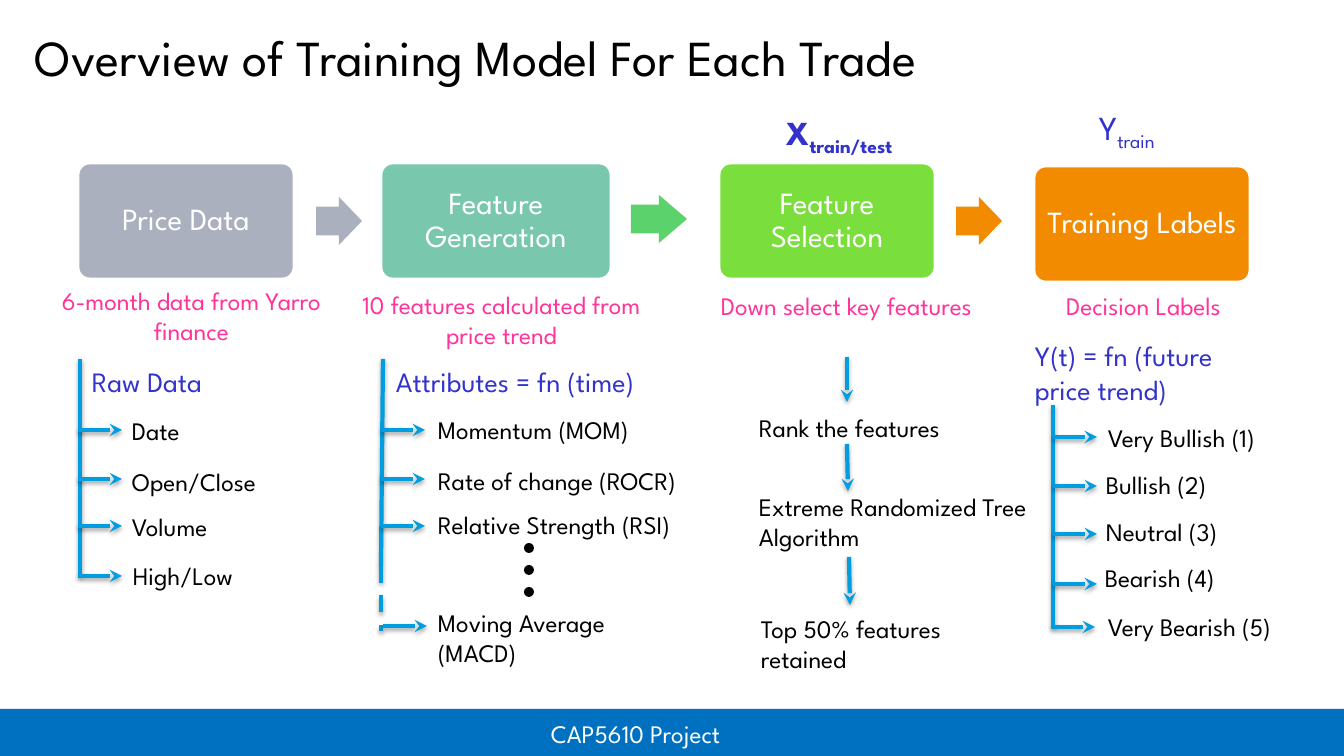
import pptx
import pptx.util
import pptx.dml.color
import pptx.enum.dml
import pptx.enum.shapes
import pptx.enum.text
import pptx.oxml
import pptx.oxml.ns

RGBColor = pptx.dml.color.RGBColor
SHAPES = pptx.enum.shapes.MSO_SHAPE
ANCHOR = pptx.enum.text.MSO_ANCHOR
ALIGN = pptx.enum.text.PP_ALIGN

EMU_PER_PIXEL = 914400 / 100.8
FONT = "League Spartan"
WHITE = RGBColor(0xFF, 0xFF, 0xFF)
BLACK = RGBColor(0, 0, 0)
FOOTER_BLUE = RGBColor(0x00, 0x70, 0xC0)
LINE_BLUE = RGBColor(0x00, 0x9E, 0xE1)
INDIGO = RGBColor(0x33, 0x33, 0xCC)
PINK = RGBColor(0xFF, 0x33, 0x99)
GRAY = RGBColor(0xAA, 0xB0, 0xBE)
TEAL = RGBColor(0x79, 0xC8, 0xAD)
GREEN = RGBColor(0x5C, 0xD2, 0x6C)
LIME = RGBColor(0x7A, 0xDE, 0x3C)
ORANGE = RGBColor(0xF3, 0x8B, 0x00)

TITLE = "Overview of Training Model For Each Trade"
FOOTER = "CAP5610 Project"

# Stage: text, left, top, width, fill
STAGES = [
    ("Price Data", 78, 163, 216, GRAY),
    ("Feature Generation", 381, 163, 230, TEAL),
    ("Feature Selection", 719, 163, 216, LIME),
    ("Training Labels", 1034, 166, 216, ORANGE),
]
STAGE_HEIGHT = 116

# Block arrow: left, top, width, fill
BLOCK_ARROWS = [(316, 197, 46, GRAY), (631, 195, 56, GREEN), (956, 197, 46, ORANGE)]
BLOCK_ARROW_HEIGHT = 48

# Caption: text, left, top
CAPTIONS = [
    ("6-month data from Yarro finance", 32, 280),
    ("10 features calculated from price trend", 342, 284),
    ("Down select key features", 687, 285),
    ("Decision Labels", 984, 285),
]
CAPTION_WIDTH = 319

# Heading: text, left, top, width
HEADINGS = [
    ("Raw Data", 82, 360, 180),
    ("Attributes = fn (time)", 386, 360, 310),
    ("Y(t) = fn (future price trend)", 1025, 334, 243),
]

# Symbol: letter, subscript, left, top, width, bold
SYMBOLS = [("X", "train/test", 776, 107, 160, True), ("Y", "train", 1089, 102, 120, False)]

# Spine: start, end, dashed
SPINES = [
    ((80, 359), (80, 576), False),
    ((383, 359), (381, 566), False),
    ((381, 566), (381, 631), True),
    ((1053, 405), (1053, 627), False),
]

# Branches: arrow left, label width, then (arrow y, label, label left, label top)
BRANCHES = [
    (78, 180, [(430, "Date", 122, 410), (479, "Open/Close", 122, 461),
               (526, "Volume", 122, 506), (576, "High/Low", 123, 555)]),
    (381, 310, [(430, "Momentum (MOM)", 428, 409), (479, "Rate of change (ROCR)", 428, 460),
                (526, "Relative Strength (RSI)", 428, 504)]),
    (383, 255, [(626, "Moving Average (MACD)", 428, 602)]),
    (1053, 225, [(437, "Very Bullish (1)", 1098, 417), (486, "Bullish (2)", 1096, 464),
                 (534, "Neutral (3)", 1096, 511), (584, "Bearish (4)", 1095, 557)]),
    (1051, 225, [(627, "Very Bearish (5)", 1098, 606)]),
]
BRANCH_LENGTH = 44

# Step: arrow start, arrow end, text, left, top, width
STEPS = [
    ((847, 357), (847, 402), "Rank the features", 749, 407, 240),
    ((847, 444), (848, 491), "Extreme Randomized Tree Algorithm", 749, 486, 295),
    ((849, 557), (850, 605), "Top 50% features retained", 751, 608, 251),
]
DOT_LEFT, DOT_TOP, DOT_SIZE, DOT_STEP = 524, 543, 10, 22


def pixels(value):
    """Convert pixels to EMU."""
    return pptx.util.Emu(round(value * EMU_PER_PIXEL))


def format_run(run, size, color, bold=False):
    """Set the font of one run."""
    run.font.name = FONT
    run.font.size = pptx.util.Pt(size)
    run.font.color.rgb = color
    run.font.bold = bold


def add_text(slide, text, left, top, width, size, color, align=ALIGN.LEFT, height=40):
    """Add a wrapped text box and return its frame."""
    box = slide.shapes.add_textbox(*map(pixels, (left, top, width, height)))
    frame = box.text_frame
    frame.word_wrap = True
    frame.text = text
    frame.paragraphs[0].alignment = align
    format_run(frame.paragraphs[0].runs[0], size, color)
    return frame


def add_filled(slide, kind, left, top, width, height, color):
    """Add a preset shape with a plain fill and no line."""
    shape = slide.shapes.add_shape(kind, *map(pixels, (left, top, width, height)))
    shape.shadow.inherit = False
    shape.fill.solid()
    shape.fill.fore_color.rgb = color
    shape.line.fill.background()
    return shape


def add_line(slide, start, end, arrow=True, dashed=False):
    """Add a blue shadowed line, with an arrowhead if asked."""
    connector = slide.shapes.add_connector(
        pptx.enum.shapes.MSO_CONNECTOR.STRAIGHT, *map(pixels, start + end))
    connector.line.color.rgb = LINE_BLUE
    connector.line.width = pptx.util.Pt(3)
    if dashed:
        connector.line.dash_style = pptx.enum.dml.MSO_LINE.DASH
    namespace = pptx.oxml.ns.nsdecls("a")
    if arrow:
        connector.line._get_or_add_ln().append(
            pptx.oxml.parse_xml(f'<a:tailEnd {namespace} type="stealth" w="med" len="med"/>'))
    connector._element.spPr.append(pptx.oxml.parse_xml(
        f'<a:effectLst {namespace}><a:outerShdw blurRad="40000" dist="23000" dir="5400000" '
        'rotWithShape="0"><a:srgbClr val="000000"><a:alpha val="35000"/></a:srgbClr>'
        '</a:outerShdw></a:effectLst>'))


def add_stage(slide, text, left, top, width, color):
    """Add one rounded stage box of the pipeline."""
    shape = add_filled(slide, SHAPES.ROUNDED_RECTANGLE, left, top, width, STAGE_HEIGHT, color)
    shape.adjustments[0] = 0.1
    shape.line.color.rgb = WHITE
    shape.line.width = pptx.util.Pt(2)
    frame = shape.text_frame
    frame.word_wrap = True
    frame.vertical_anchor = ANCHOR.MIDDLE
    frame.margin_left = frame.margin_right = pixels(9)
    frame.text = text
    paragraph = frame.paragraphs[0]
    paragraph.alignment = ALIGN.CENTER
    paragraph.line_spacing = 0.9
    format_run(paragraph.runs[0], 22, WHITE)


def add_symbol(slide, letter, subscript, left, top, width, bold):
    """Add a letter followed by a subscript."""
    paragraph = add_text(slide, letter, left, top, width, 24, INDIGO).paragraphs[0]
    paragraph.add_run().text = subscript
    for run in paragraph.runs:
        format_run(run, 24, INDIGO, bold)
    paragraph.runs[1]._r.get_or_add_rPr().set("baseline", "-25000")


presentation = pptx.Presentation()
presentation.slide_width, presentation.slide_height = pixels(1344), pixels(756)
slide = presentation.slides.add_slide(presentation.slide_layouts[6])

add_filled(slide, SHAPES.RECTANGLE, 0, 709, 1344, 47, FOOTER_BLUE)
add_text(slide, FOOTER, 541, 713, 231, 18, WHITE)
title_frame = add_text(slide, TITLE, 35, 32, 1273, 36, BLACK, height=55)
title_frame.margin_left = title_frame.margin_right = 0
title_frame.margin_top = title_frame.margin_bottom = 0
title_frame.vertical_anchor = ANCHOR.BOTTOM
title_frame.paragraphs[0].line_spacing = 0.9

for stage in STAGES:
    add_stage(slide, *stage)
for left, top, width, color in BLOCK_ARROWS:
    arrow = add_filled(slide, SHAPES.RIGHT_ARROW, left, top, width, BLOCK_ARROW_HEIGHT, color)
    arrow.adjustments[0] = 0.6
    arrow.adjustments[1] = width / 2 / min(width, BLOCK_ARROW_HEIGHT)
for text, left, top in CAPTIONS:
    add_text(slide, text, left, top, CAPTION_WIDTH, 18, PINK, ALIGN.CENTER)
for text, left, top, width in HEADINGS:
    add_text(slide, text, left, top, width, 20, INDIGO)
for symbol in SYMBOLS:
    add_symbol(slide, *symbol)

for start, end, dashed in SPINES:
    add_line(slide, start, end, arrow=False, dashed=dashed)
for arrow_left, label_width, items in BRANCHES:
    for y, label, left, top in items:
        add_line(slide, (arrow_left, y), (arrow_left + BRANCH_LENGTH, y))
        add_text(slide, label, left, top, label_width, 18, BLACK)
for start, end, text, left, top, width in STEPS:
    add_line(slide, start, end)
    add_text(slide, text, left, top, width, 18, BLACK)
for index in range(3):
    add_filled(slide, SHAPES.OVAL, DOT_LEFT, DOT_TOP + index * DOT_STEP, DOT_SIZE, DOT_SIZE, BLACK)

presentation.save("out.pptx")
